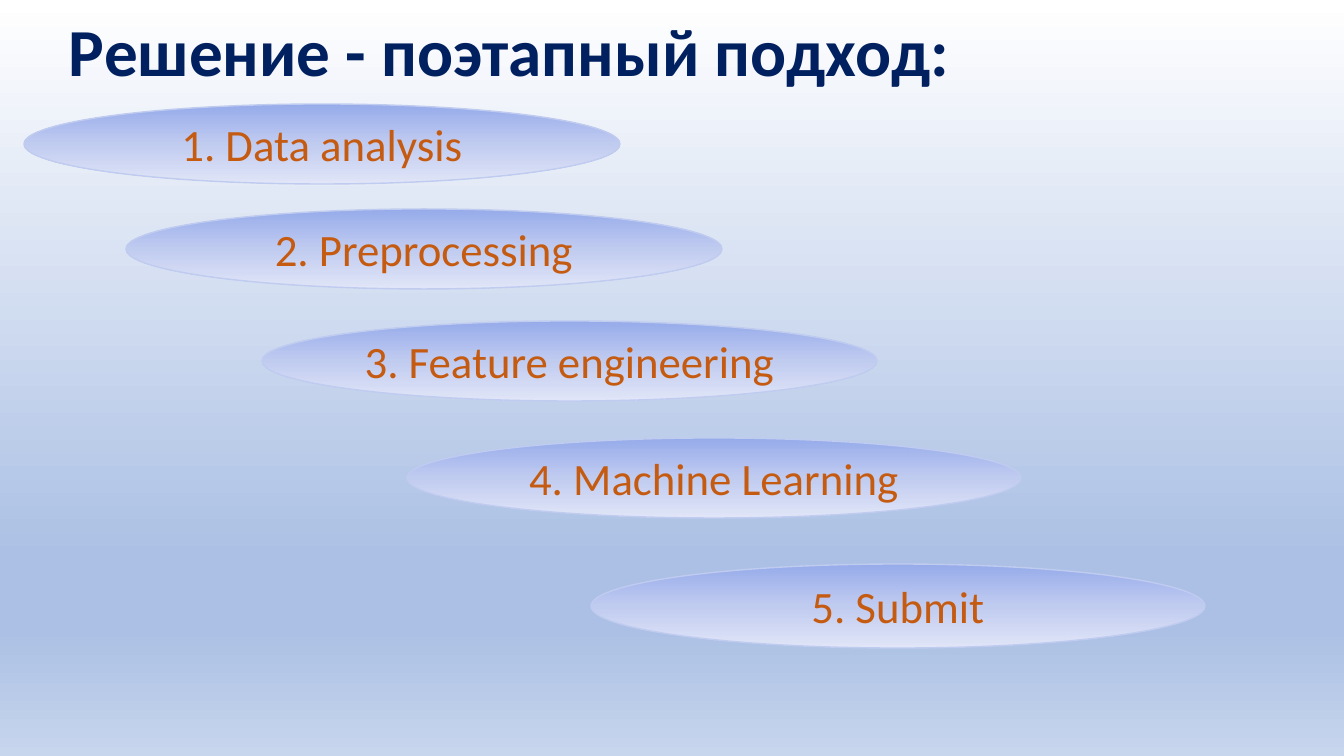
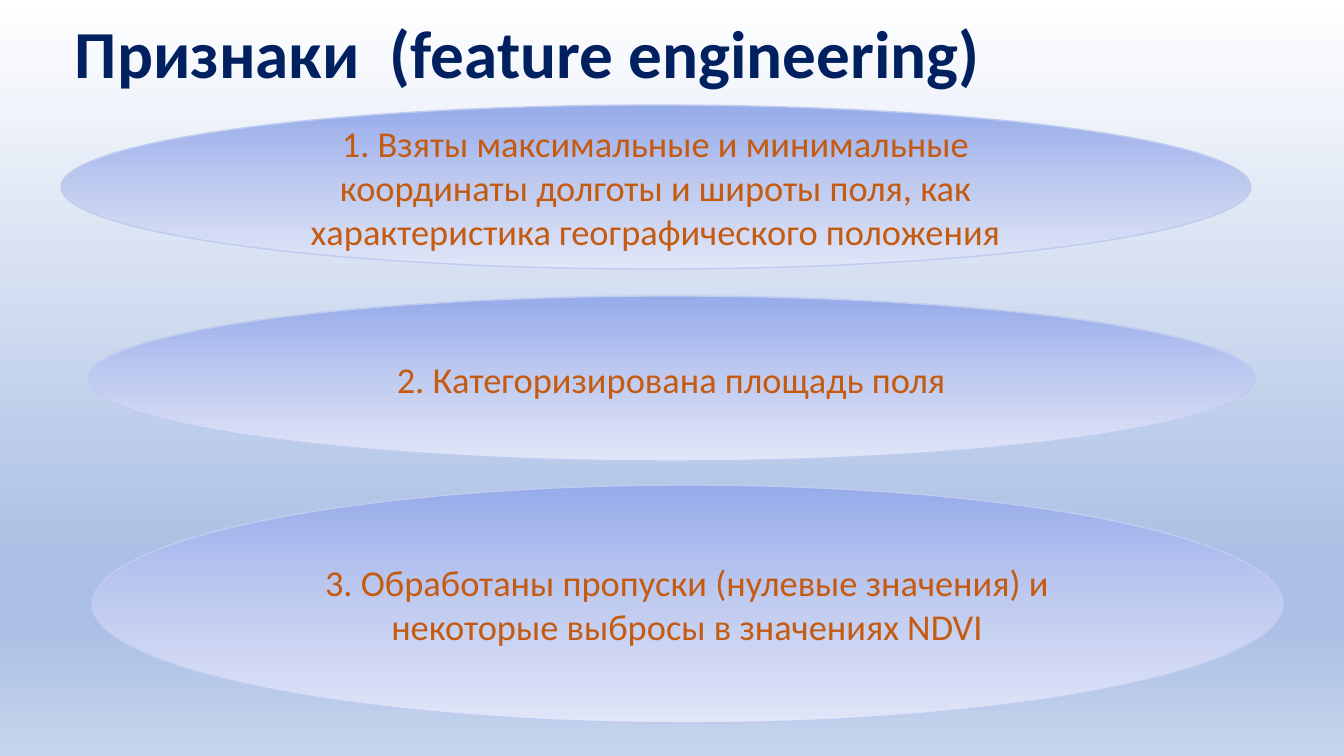
"""Build two slides of titled, numbered gradient ellipses."""
from lxml import etree
from pptx import Presentation
from pptx.dml.color import RGBColor
from pptx.enum.shapes import MSO_SHAPE
from pptx.enum.text import MSO_ANCHOR, PP_ALIGN
from pptx.oxml.ns import qn
from pptx.util import Emu, Pt

OVAL = MSO_SHAPE.OVAL
MIDDLE = MSO_ANCHOR.MIDDLE
LEFT, CENTER = PP_ALIGN.LEFT, PP_ALIGN.CENTER

FONT = "Calibri"
NAVY = RGBColor(0x00, 0x20, 0x60)
RUST = RGBColor(0xC5, 0x5A, 0x11)
WHITE = RGBColor(0xFF, 0xFF, 0xFF)
STEEL = RGBColor(0xAB, 0xC0, 0xE4)
MIST = RGBColor(0xC7, 0xD5, 0xED)
DEEP = RGBColor(0x96, 0xAB, 0xEA)
LILAC = RGBColor(0xC0, 0xCB, 0xF0)
PALE = RGBColor(0xE0, 0xE5, 0xF7)

SKY = [(0, WHITE), (74, STEEL), (83, STEEL), (100, MIST)]
GLOW = [(0, DEEP), (50, LILAC), (100, PALE)]

WIDE, HIGH = 1344, 756
SLIDES = [
    {
        "title": "Решение - поэтапный подход:",
        "box": (59, 0, 1159, 110),
        "size": 32,
        "steps": [
            ("1. Data analysis", (24, 104, 596, 80)),
            ("2. Preprocessing", (126, 209, 596, 80)),
            ("3. Feature engineering", (262, 321, 615, 80)),
            ("4. Machine Learning", (407, 438, 614, 80)),
            ("5. Submit", (591, 564, 614, 84)),
        ],
    },
    {
        "title": "Признаки  (feature engineering)",
        "box": (65, 0, 1209, 114),
        "size": 26,
        "steps": [
            ("1. Взяты максимальные и минимальные координаты долготы и широты "
             "поля, как характеристика географического положения",
             (61, 105, 1190, 164)),
            ("2. Категоризирована площадь поля", (88, 296, 1167, 165)),
            ("3. Обработаны пропуски (нулевые значения) и некоторые выбросы "
             "в значениях NDVI", (92, 485, 1191, 238)),
        ],
    },
]


def px(num):
    return Emu(round(num * 914400 / 100.8))


def shade(fill, root, stops):
    fill.gradient()
    fill.gradient_angle = 270
    grad = root.find(".//" + qn("a:gsLst"))
    for old in list(grad):
        grad.remove(old)
    for pos, color in stops:
        stop = etree.SubElement(grad, qn("a:gs"), pos=str(pos * 1000))
        etree.SubElement(stop, qn("a:srgbClr"), val=str(color))


def write(shape, text, size, color, align, bold=False):
    frame = shape.text_frame
    frame.word_wrap = True
    frame.vertical_anchor = MIDDLE
    para = frame.paragraphs[0]
    para.alignment = align
    run = para.add_run()
    run.text = text
    run.font.name = FONT
    run.font.size = Pt(size)
    run.font.bold = bold
    run.font.color.rgb = color
    return para


def add_title(slide, text, box):
    shape = slide.shapes.add_textbox(*map(px, box))
    write(shape, text, 48, NAVY, LEFT, True).line_spacing = 0.9


def add_step(slide, text, box, size):
    shape = slide.shapes.add_shape(OVAL, *map(px, box))
    shape.shadow.inherit = False
    shade(shape.fill, shape.element.spPr, GLOW)
    shape.line.color.rgb = LILAC
    shape.line.width = Pt(1)
    write(shape, text, size, RUST, CENTER)


def main():
    deck = Presentation()
    deck.slide_width, deck.slide_height = px(WIDE), px(HIGH)
    master = deck.slide_master
    sky = master.background.fill
    shade(sky, master.element.find(".//" + qn("p:bg")), SKY)
    for page in SLIDES:
        slide = deck.slides.add_slide(deck.slide_layouts[6])
        add_title(slide, page["title"], page["box"])
        for text, box in page["steps"]:
            add_step(slide, text, box, page["size"])
    deck.save("out.pptx")


if __name__ == "__main__":
    main()
